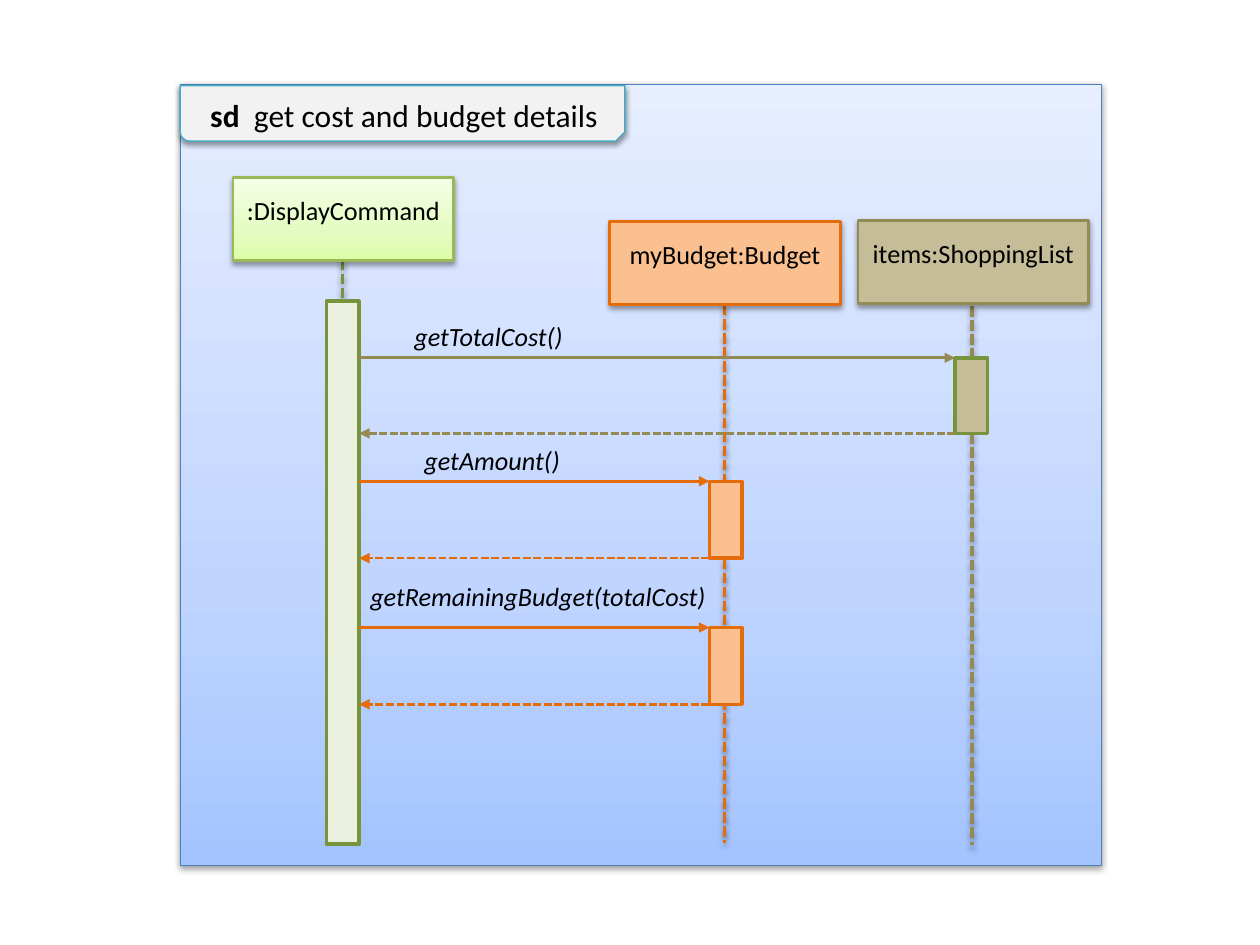
"""Sequence diagram: a display command fetches cost and budget details."""
from lxml import etree
from pptx import Presentation, util as u
from pptx.dml.color import RGBColor
from pptx.enum import dml, shapes, text
from pptx.oxml import parse_xml
from pptx.oxml.ns import qn

BLACK = RGBColor(0x00, 0x00, 0x00)
PANEL_EDGE = RGBColor(0x4B, 0x7E, 0xBC)
TAG = RGBColor(0xF2, 0xF2, 0xF2)
TAG_EDGE = RGBColor(0x46, 0xAA, 0xC5)
GREEN = RGBColor(0x77, 0x93, 0x3C)
PALE_GREEN = RGBColor(0xEB, 0xF1, 0xDE)
LIME = RGBColor(0x98, 0xB9, 0x55)
TAN = RGBColor(0x94, 0x8A, 0x54)
PALE_TAN = RGBColor(0xC4, 0xBD, 0x97)
ORANGE = RGBColor(0xE4, 0x6C, 0x0A)
PALE_ORANGE = RGBColor(0xFA, 0xC0, 0x90)
BLUE_FADE = [(0, "A4C4FF"), (35, "BFD4FF"), (100, "E6EEFF")]
LIME_FADE = [(0, "DAFDA7"), (35, "E4FCC2"), (100, "F5FFE7")]
NS = 'xmlns:a="http://schemas.openxmlformats.org/drawingml/2006/main"'
SHADOW = (f'<a:effectLst {NS}><a:outerShdw blurRad="40000" dist="20000" dir="5400000" '
          'rotWithShape="0"><a:srgbClr val="000000"><a:alpha val="38000"/></a:srgbClr>'
          '</a:outerShdw></a:effectLst>')
FLAT = f"<a:effectLst {NS}/>"

prs = Presentation()
prs.slide_width, prs.slide_height = u.Inches(10), u.Inches(7.5)
COL, ROW = prs.slide_width / 100, prs.slide_height / 75
s = prs.slides.add_slide(prs.slide_layouts[6])


def box(x, y, w, h, fill, edge, weight, effect=FLAT, kind=shapes.MSO_SHAPE.RECTANGLE):
    sp = s.shapes.add_shape(kind, int(x * COL), int(y * ROW), int(w * COL), int(h * ROW))
    sp.line.color.rgb, sp.line.width = edge, u.Pt(weight)
    if isinstance(fill, list):
        sp.fill.gradient()
        sp.fill.gradient_angle = 90
        stops = sp._element.spPr.find(qn("a:gradFill")).find(qn("a:gsLst"))
        stops[:] = [parse_xml(f'<a:gs {NS} pos="{pos * 1000}"><a:srgbClr val="{c}"/></a:gs>')
                    for pos, c in fill]
    else:
        sp.fill.solid()
        sp.fill.fore_color.rgb = fill
    sp._element.spPr.append(parse_xml(effect))
    return sp


def line(x1, y1, x2, y2, color, weight, dashed=False, arrow=False, effect=FLAT):
    sp = s.shapes.add_connector(shapes.MSO_CONNECTOR.STRAIGHT, int(x1 * COL), int(y1 * ROW),
                                int(x2 * COL), int(y2 * ROW))
    sp.line.color.rgb, sp.line.width = color, u.Pt(weight)
    if dashed:
        sp.line.dash_style = dml.MSO_LINE.SQUARE_DOT
    if arrow:
        etree.SubElement(sp.line._get_or_add_ln(), qn("a:tailEnd"), type="triangle")
    sp._element.spPr.append(parse_xml(effect))


box(14.3, 6.7, 73.1, 62, BLUE_FADE, PANEL_EDGE, 0.75, SHADOW)
tag = box(14.3, 6.8, 35.3, 4.4, TAG, TAG_EDGE, 0.75, SHADOW, shapes.MSO_SHAPE.SNIP_ROUND_RECTANGLE)
tag.rotation = 180
tag._element.spPr.xfrm.set("flipH", "1")

for x, top, bottom, color in [(27.2, 20.6, 54.8, GREEN), (77.15, 24.3, 67.1, TAN),
                              (57.5, 24.2, 66.9, ORANGE)]:
    line(x, top, x, bottom, color, 2, dashed=True, effect=SHADOW)

for name, x, y, w, fill, edge in [
        (":DisplayCommand", 18.5, 14.1, 17.5, LIME_FADE, LIME),
        ("items:ShoppingList", 68.1, 17.5, 18.3, PALE_TAN, TAN),
        ("myBudget:Budget", 48.4, 17.6, 18.3, PALE_ORANGE, ORANGE)]:
    tf = box(x, y, w, 6.6, fill, edge, 1.5, SHADOW).text_frame
    tf.word_wrap = True
    tf.vertical_anchor = text.MSO_ANCHOR.TOP
    tf.margin_left = tf.margin_right = int(COL)
    tf.margin_top = int(1.3 * ROW)
    p = tf.paragraphs[0]
    p.text, p.alignment = name, text.PP_ALIGN.CENTER
    p.font.name, p.font.size, p.font.color.rgb = "Calibri", u.Pt(15), BLACK

box(25.9, 23.9, 2.6, 43.1, PALE_GREEN, GREEN, 2)
for x, call, reply, fill, edge, color in [
        (75.8, 28.4, 34.4, PALE_TAN, GREEN, TAN),
        (56.3, 38.2, 44.3, PALE_ORANGE, ORANGE, ORANGE),
        (56.3, 49.8, 55.9, PALE_ORANGE, ORANGE, ORANGE)]:
    box(x, call, 2.6, reply - call, fill, edge, 2)
    line(28.5, call, x, call, color, 1.5, arrow=True)
    line(x, reply, 28.5, reply, color, 1.5, dashed=True, arrow=True)

for runs, x, y, w, h, size, italic in [
        ([("sd ", True), (" get cost and budget details", False)], 15.7, 7.1, 45.9, 7.7, 18, False),
        ([("getTotalCost()", False)], 31.9, 24.9, 15, 3.5, 15, True),
        ([("getAmount()", False)], 32.7, 34.8, 13, 3.5, 15, True),
        ([("getRemainingBudget(totalCost)", False)], 28.4, 45.6, 29.1, 3.5, 15, True)]:
    tf = s.shapes.add_textbox(int(x * COL), int(y * ROW), int(w * COL), int(h * ROW)).text_frame
    tf.word_wrap = True
    p = tf.paragraphs[0]
    p.font.name, p.font.size, p.font.color.rgb = "Calibri", u.Pt(size), BLACK
    p.font.italic = italic
    for words, bold in runs:
        r = p.add_run()
        r.text, r.font.bold = words, bold

prs.save("out.pptx")
